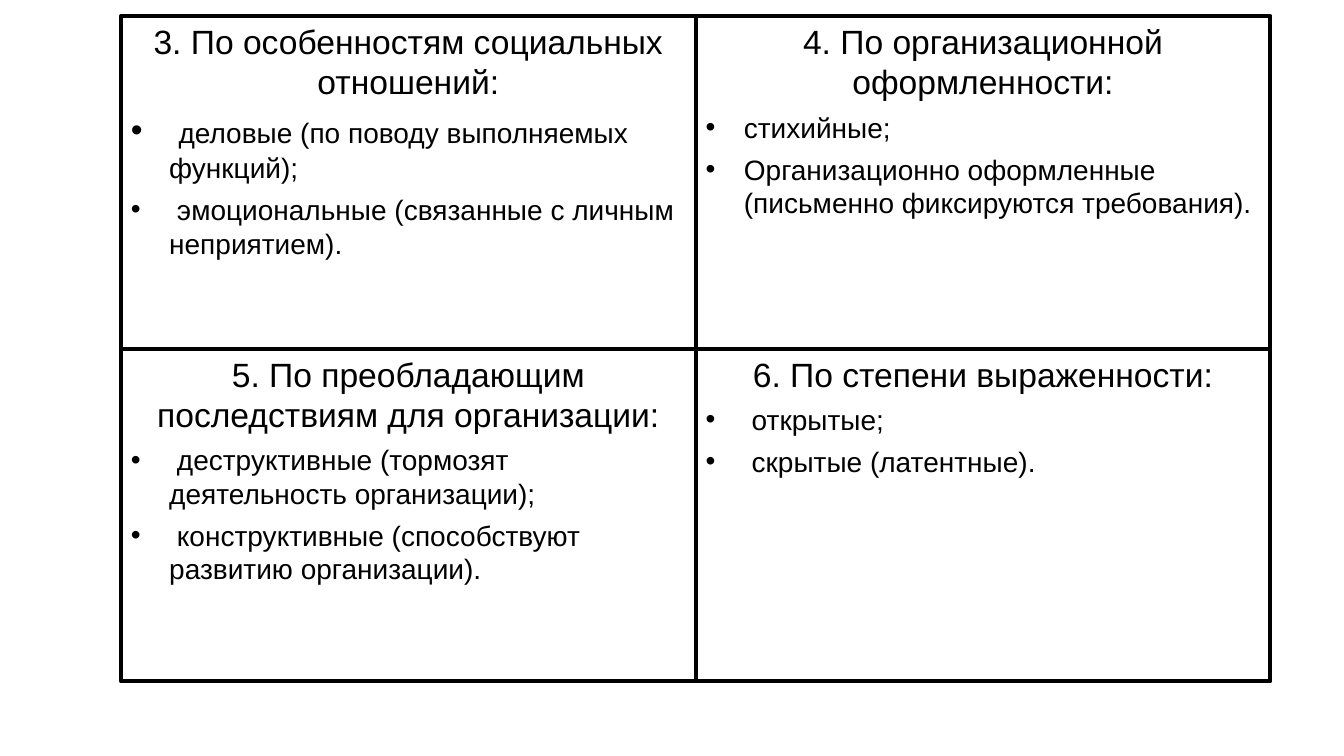
from dataclasses import dataclass

from lxml.etree import SubElement
from pptx import Presentation
from pptx.dml.color import RGBColor
from pptx.enum.shapes import MSO_SHAPE as Shape
from pptx.enum.text import MSO_ANCHOR as Anchor, PP_ALIGN as Align
from pptx.oxml.ns import qn
from pptx.slide import Slide
from pptx.util import Inches, Pt


@dataclass(frozen=True)
class Theme:
    font: str = "Arial"
    ink: RGBColor = RGBColor(0, 0, 0)
    heading_size: int = 24
    item_size: int = 20
    border: int = 3
    gap: int = 6
    indent: float = 0.38


@dataclass(frozen=True)
class Quadrant:
    row: int
    column: int
    heading: str
    items: tuple[str, ...]
    gap_before: bool = False
    lead: str = ""  # heading-sized start of the first item


THEME = Theme()
LEFT, TOP, WIDTH, HEIGHT = 1.2, 0.16, 5.7, 3.3

QUADRANTS = (
    Quadrant(0, 0, "3. По особенностям социальных отношений:",
             ("деловые (по поводу выполняемых функций);",
              " эмоциональные (связанные с личным неприятием)."),
             gap_before=True, lead=" "),
    Quadrant(0, 1, "4. По организационной оформленности:",
             ("стихийные;",
              "Организационно оформленные (письменно фиксируются требования).")),
    Quadrant(1, 0, "5. По преобладающим последствиям для организации:",
             (" деструктивные (тормозят деятельность организации);",
              " конструктивные (способствуют развитию организации)."),
             gap_before=True),
    Quadrant(1, 1, "6. По степени выраженности:",
             (" открытые;", " скрытые (латентные).")),
)


def add_span(para, text: str, size: int) -> None:
    span = para.add_run()
    span.text = text
    span.font.name = THEME.font
    span.font.size = Pt(size)
    span.font.color.rgb = THEME.ink


def add_bullet(para) -> None:
    """Give the paragraph a bullet with a hanging indent."""
    properties = para._p.get_or_add_pPr()
    properties.set("marL", str(Inches(THEME.indent)))
    properties.set("indent", str(-Inches(THEME.indent)))
    color = SubElement(properties, qn("a:buClr"))
    SubElement(color, qn("a:srgbClr"), val=str(THEME.ink))
    SubElement(properties, qn("a:buFont"), typeface=THEME.font)
    SubElement(properties, qn("a:buChar"), char="•")


def set_gap(para, before: bool) -> None:
    para.space_before = Pt(THEME.gap if before else 0)
    para.space_after = Pt(0 if before else THEME.gap)


def add_quadrant(page: Slide, quadrant: Quadrant) -> None:
    # Bordered box
    box = page.shapes.add_shape(
        Shape.RECTANGLE,
        Inches(LEFT + quadrant.column * WIDTH),
        Inches(TOP + quadrant.row * HEIGHT),
        Inches(WIDTH), Inches(HEIGHT))
    box.shadow.inherit = False
    box.fill.background()
    box.line.color.rgb = THEME.ink
    box.line.width = Pt(THEME.border)
    frame = box.text_frame
    frame.word_wrap = True
    frame.vertical_anchor = Anchor.TOP

    # Heading
    para = frame.paragraphs[0]
    para.alignment = Align.CENTER
    set_gap(para, before=False)
    if quadrant.gap_before:
        para.space_after = Pt(0)
    add_span(para, quadrant.heading, THEME.heading_size)

    # Bulleted items
    for index, item in enumerate(quadrant.items):
        para = frame.add_paragraph()
        para.alignment = Align.LEFT
        set_gap(para, quadrant.gap_before)
        add_bullet(para)
        if index == 0 and quadrant.lead:
            add_span(para, quadrant.lead, THEME.heading_size)
        add_span(para, item, THEME.item_size)


def main() -> None:
    deck = Presentation()
    deck.slide_width, deck.slide_height = Inches(13.33), Inches(7.5)
    page = deck.slides.add_slide(deck.slide_layouts[6])
    for quadrant in QUADRANTS:
        add_quadrant(page, quadrant)
    deck.save("out.pptx")


if __name__ == "__main__":
    main()
